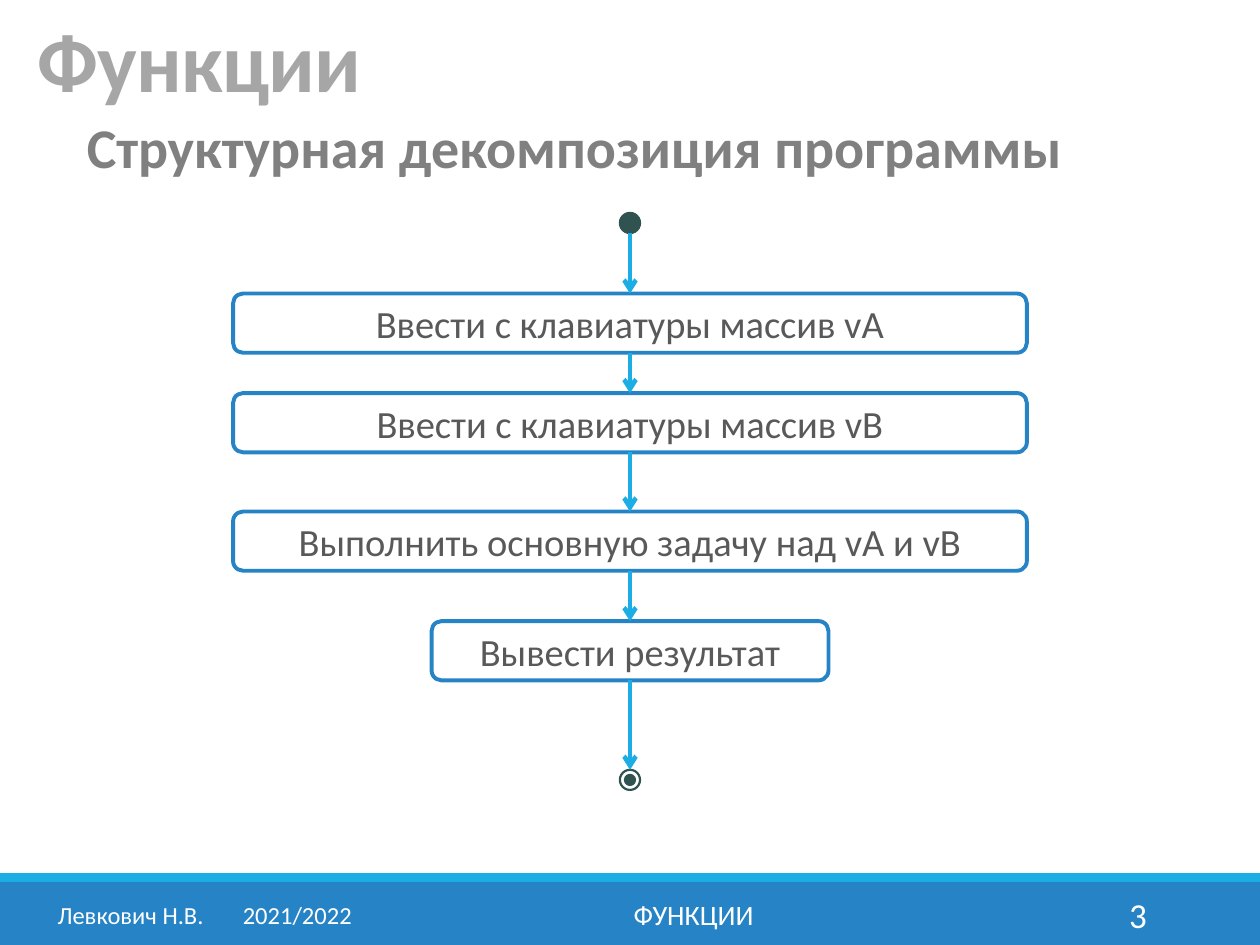
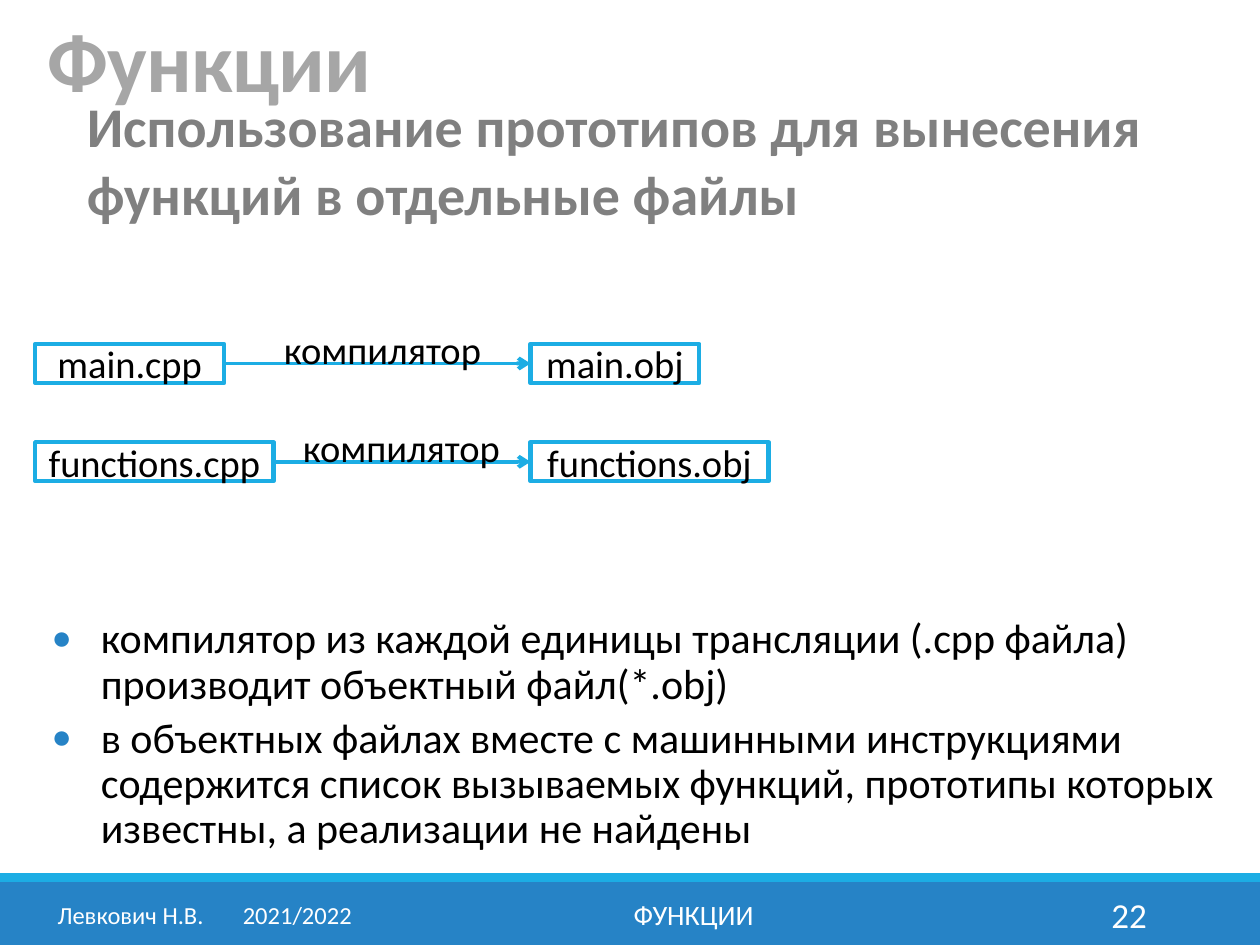
from dataclasses import dataclass

import lxml.etree
import pptx
import pptx.dml.color
import pptx.enum.shapes
import pptx.enum.text
import pptx.oxml.ns
import pptx.util

Inches = pptx.util.Inches
Pt = pptx.util.Pt
Shape = pptx.enum.shapes.MSO_SHAPE
Anchor = pptx.enum.text.MSO_ANCHOR
Align = pptx.enum.text.PP_ALIGN
AutoSize = pptx.enum.text.MSO_AUTO_SIZE
qn = pptx.oxml.ns.qn

TOP, LEFT, BOTTOM, RIGHT = range(4)


@dataclass(frozen=True)
class Theme:
    font: str = "Calibri"
    white: str = "FFFFFF"
    black: str = "000000"
    blue: str = "2683C6"
    cyan: str = "1CADE4"
    title_gray: str = "A6A6A6"
    subtitle_gray: str = "808080"
    step_gray: str = "595959"
    dot: str = "305250"
    title_size: int = 48
    subtitle_size: int = 32
    list_size: int = 24
    diagram_size: int = 22
    number_size: int = 20
    topic_size: int = 16
    author_size: int = 14


THEME = Theme()
COURSE_AUTHOR = "Левкович Н.В.\t2021/2022"
COURSE_TOPIC = "ФУНКЦИИ"
FLOW_AXIS = 5
DOT_SIZE = 0.16


def rgb(color):
    return pptx.dml.color.RGBColor.from_string(color)


def place(shape, left, top, width, height):
    shape.left, shape.top = Inches(left), Inches(top)
    shape.width, shape.height = Inches(width), Inches(height)


def format_runs(paragraph, size, color, bold=False):
    for run in paragraph.runs:
        run.font.name = THEME.font
        run.font.size = Pt(size)
        run.font.bold = bold
        run.font.color.rgb = rgb(color)


def write(shape, text, size, color, align=Align.CENTER, bold=False):
    """Fill a shape with one vertically centred paragraph and return it."""
    frame = shape.text_frame
    frame.word_wrap = True
    frame.vertical_anchor = Anchor.MIDDLE
    paragraph = frame.paragraphs[0]
    paragraph.text = text
    paragraph.alignment = align
    format_runs(paragraph, size, color, bold)
    return paragraph


def remove_insets(shape):
    frame = shape.text_frame
    frame.margin_left = frame.margin_right = 0
    frame.margin_top = frame.margin_bottom = 0


def add_text(slide, box, text, size, color, align=Align.CENTER, bold=False):
    textbox = slide.shapes.add_textbox(*map(Inches, box))
    write(textbox, text, size, color, align, bold)
    return textbox


def add_figure(slide, kind, box, fill=None, line=None, line_width=0):
    figure = slide.shapes.add_shape(kind, *map(Inches, box))
    figure.shadow.inherit = False
    if fill:
        figure.fill.solid()
        figure.fill.fore_color.rgb = rgb(fill)
    else:
        figure.fill.background()
    if line:
        figure.line.color.rgb = rgb(line)
        figure.line.width = Pt(line_width)
    else:
        figure.line.fill.background()
    return figure


def add_arrow(slide, start, end, width):
    """Draw an arrow; start and end are pairs of a shape and its side."""
    (source, source_side), (target, target_side) = start, end
    arrow = slide.shapes.add_connector(
        pptx.enum.shapes.MSO_CONNECTOR.STRAIGHT,
        source.left + source.width // 2, source.top + source.height,
        target.left + target.width // 2, target.top)
    # A circle's lower point has no rectangle side number to join.
    if source.auto_shape_type != Shape.FLOWCHART_CONNECTOR:
        arrow.begin_connect(source, source_side)
    arrow.end_connect(target, target_side)
    arrow.line.color.rgb = rgb(THEME.cyan)
    arrow.line.width = Pt(width)
    properties = arrow._element.spPr
    lxml.etree.SubElement(properties.find(qn("a:ln")), qn("a:tailEnd"), type="arrow")
    lxml.etree.SubElement(properties, qn("a:effectLst"))


def add_title(slide, text, left):
    title = slide.shapes.title
    place(title, left, 0, 8.25, 0.92)
    paragraph = write(title, text, THEME.title_size, THEME.title_gray, Align.LEFT, True)
    title.text_frame.vertical_anchor = Anchor.BOTTOM
    title.text_frame.auto_size = AutoSize.NONE
    paragraph.line_spacing = 0.85
    for run in paragraph.runs:
        run.font._element.set("spc", "-50")


def add_subtitle(slide, text, box):
    subtitle = add_text(slide, box, text, THEME.subtitle_size,
                        THEME.subtitle_gray, Align.LEFT, True)
    frame = subtitle.text_frame
    frame.vertical_anchor = Anchor.TOP
    frame.word_wrap = False
    frame.auto_size = AutoSize.SHAPE_TO_FIT_TEXT


def add_footer(slide, number):
    add_figure(slide, Shape.RECTANGLE, (0, 7, 10, 0.5), THEME.blue)
    add_figure(slide, Shape.RECTANGLE, (0, 6.93, 10, 0.07), THEME.cyan)
    top, height = 7.06, 0.4
    author = add_text(slide, (0.32, top, 2.61, height), COURSE_AUTHOR,
                      THEME.author_size, THEME.white)
    properties = author.text_frame.paragraphs[0]._p.get_or_add_pPr()
    tabs = lxml.etree.SubElement(properties, qn("a:tabLst"))
    lxml.etree.SubElement(tabs, qn("a:tab"), pos=str(Inches(1.47)), algn="l")
    add_text(slide, (3.02, top, 4.97, height), COURSE_TOPIC,
             THEME.topic_size, THEME.white)
    add_text(slide, (8.12, top, 1.08, height), str(number),
             THEME.number_size, THEME.white, Align.RIGHT)


def add_bullet(paragraph):
    properties = paragraph._p.get_or_add_pPr()
    properties.set("marL", str(Inches(0.39)))
    properties.set("indent", str(Inches(-0.39)))
    color = lxml.etree.SubElement(properties, qn("a:buClr"))
    lxml.etree.SubElement(color, qn("a:srgbClr"), val=THEME.blue)
    lxml.etree.SubElement(properties, qn("a:buSzPct"), val="80000")
    lxml.etree.SubElement(properties, qn("a:buChar"), char="●")


def add_list(slide, items, box):
    body = slide.placeholders[1]
    place(body, *box)
    frame = body.text_frame
    frame.auto_size = AutoSize.NONE
    for index, item in enumerate(items):
        paragraph = frame.add_paragraph() if index else frame.paragraphs[0]
        paragraph.text = item
        add_bullet(paragraph)
        paragraph.line_spacing = 0.9
        paragraph.space_before = Pt(5 if index else 0)
        format_runs(paragraph, THEME.list_size, THEME.black)


def add_dot(slide, top, size, fill=None):
    box = (FLOW_AXIS - size / 2, top, size, size)
    return add_figure(slide, Shape.FLOWCHART_CONNECTOR, box, fill, THEME.dot, 1.25)


def add_step(slide, text, top, width):
    box = (FLOW_AXIS - width / 2, top, width, 0.47)
    step = add_figure(slide, Shape.FLOWCHART_ALTERNATE_PROCESS, box,
                      THEME.white, THEME.blue, 2.25)
    write(step, text, THEME.diagram_size, THEME.step_gray)
    return step


def add_file(slide, name, left, top, width):
    file_box = add_figure(slide, Shape.RECTANGLE, (left, top, width, 0.31),
                          line=THEME.cyan, line_width=2.5)
    remove_insets(file_box)
    write(file_box, name, THEME.diagram_size, THEME.black)
    return file_box


def add_compilation(slide, top, source, source_width, target, target_width, label_left):
    """Draw one row: source file, compiler arrow, object file."""
    source_file = add_file(slide, source, 0.28, top, source_width)
    object_file = add_file(slide, target, 4.21, top, target_width)
    add_arrow(slide, (source_file, RIGHT), (object_file, LEFT), 2.25)
    label = add_text(slide, (label_left, top - 0.08, 1.89, 0.24), "компилятор",
                     THEME.diagram_size, THEME.black)
    remove_insets(label)


def build_decomposition(slide):
    add_title(slide, "Функции", 0.2)
    add_subtitle(slide, "Структурная декомпозиция программы", (0.59, 0.84, 8.02, 0.64))
    steps = [
        ("Ввести с клавиатуры массив vA", 2.33, 6.3),
        ("Ввести с клавиатуры массив vB", 3.12, 6.3),
        ("Выполнить основную задачу над vA и vB", 4.06, 6.3),
        ("Вывести результат", 4.93, 3.15),
    ]
    flow = [add_dot(slide, 1.69, DOT_SIZE, THEME.dot)]
    flow += [add_step(slide, *step) for step in steps]
    flow.append(add_dot(slide, 6.11, DOT_SIZE))
    add_dot(slide, 6.15, DOT_SIZE / 2, THEME.dot)
    for current, following in zip(flow, flow[1:]):
        add_arrow(slide, (current, BOTTOM), (following, TOP), 2.5)
    add_footer(slide, 3)


def build_prototypes(slide):
    add_title(slide, "Функции", 0.28)
    add_subtitle(slide, "Использование прототипов для вынесения\vфункций в отдельные файлы",
                 (0.59, 0.68, 8.65, 1.18))
    add_compilation(slide, 2.73, "main.cpp", 1.5, "main.obj", 1.34, 2.09)
    add_compilation(slide, 3.51, "functions.cpp", 1.89, "functions.obj", 1.89, 2.24)
    add_list(slide, [
        "компилятор из каждой единицы трансляции (.cpp файла)\v"
        "производит объектный файл(*.obj)",
        "в объектных файлах вместе с машинными инструкциями содержится список "
        "вызываемых функций, прототипы которых известны, а реализации не найдены",
    ], (0.31, 4.85, 9.69, 2))
    add_footer(slide, 22)


def main():
    deck = pptx.Presentation()
    deck.slide_width, deck.slide_height = Inches(10), Inches(7.5)
    title_and_content, title_only = deck.slide_layouts[1], deck.slide_layouts[5]
    build_decomposition(deck.slides.add_slide(title_only))
    build_prototypes(deck.slides.add_slide(title_and_content))
    deck.save("out.pptx")


if __name__ == "__main__":
    main()
